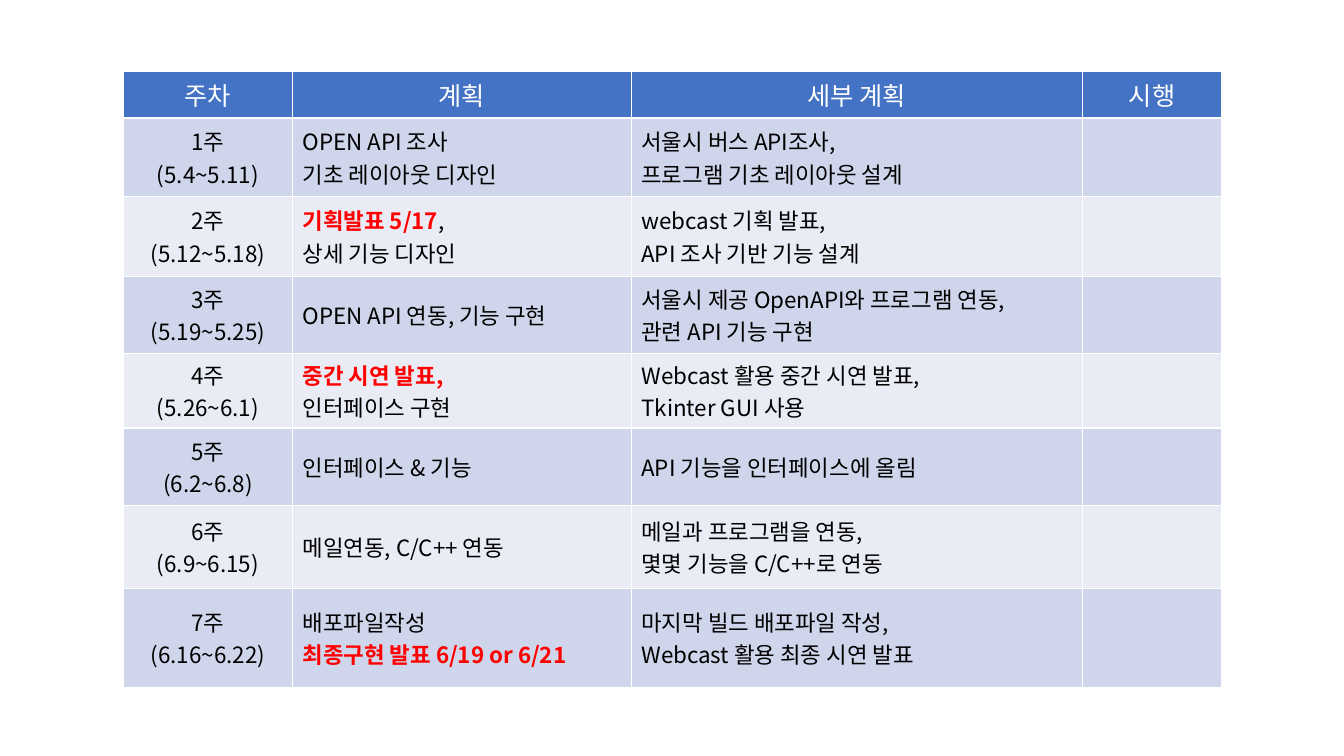
from lxml import etree
from pptx import Presentation
from pptx.dml.color import RGBColor
from pptx.enum import text
from pptx.oxml import ns
from pptx.util import Pt

COLORS = {"head": "4472C4", "odd": "CFD5EA", "even": "E9EBF5",
          "white": "FFFFFF", "black": "000000", "key": "FF0000"}

WIDTHS = [121, 242, 322, 100]
HEIGHTS = [32, 56, 57, 55, 53.5, 55.5, 59, 71]
HEADS = ["주차", "계획", "세부 계획", "시행"]

# Dates, plan and details of each week; *stars* mark key events.
WEEKS = [
    ("5.4~5.11", "OPEN API 조사\n기초 레이아웃 디자인",
     "서울시 버스 API조사,\n프로그램 기초 레이아웃 설계"),
    ("5.12~5.18", "*기획발표 5/17*,\n상세 기능 디자인",
     "webcast 기획 발표,\nAPI 조사 기반 기능 설계"),
    ("5.19~5.25", "OPEN API 연동, 기능 구현",
     "서울시 제공 OpenAPI와 프로그램 연동,\n관련 API 기능 구현"),
    ("5.26~6.1", "*중간 시연 발표,*\n인터페이스 구현",
     "Webcast 활용 중간 시연 발표,\nTkinter GUI 사용"),
    ("6.2~6.8", "인터페이스 & 기능", "API 기능을 인터페이스에 올림"),
    ("6.9~6.15", "메일연동, C/C++ 연동",
     "메일과 프로그램을 연동,\n몇몇 기능을 C/C++로 연동"),
    ("6.16~6.22", "배포파일작성\n*최종구현 발표 6/19 or 6/21*",
     "마지막 빌드 배포파일 작성,\nWebcast 활용 최종 시연 발표"),
]


def color(name):
    """Look up a colour by name."""
    return RGBColor.from_string(COLORS[name])


class Deck:
    """Holds the style and the current slide."""

    font = "Noto Sans CJK KR"

    def __init__(self, wide, high):
        """Start a deck with one blank slide."""
        self.prs = Presentation()
        self.prs.slide_width, self.prs.slide_height = Pt(wide), Pt(high)
        self.slide = self.prs.slides.add_slide(self.prs.slide_layouts[6])

    def table(self, left, top, widths, heights):
        """Add a plain table with the given column and row sizes."""
        grid = self.slide.shapes.add_table(
            len(heights), len(widths), Pt(left), Pt(top),
            Pt(sum(widths)), Pt(sum(heights))).table
        grid.first_row = grid.horz_banding = False
        for col, wide in zip(grid.columns, widths):
            col.width = Pt(wide)
        for row, high in zip(grid.rows, heights):
            row.height = Pt(high)
        return grid

    def border(self, cell):
        """Draw thin white lines on all sides of a cell."""
        props = cell._tc.get_or_add_tcPr()
        for side in "LRTB":
            line = etree.SubElement(props, ns.qn(f"a:ln{side}"), w=str(Pt(1)))
            fill = etree.SubElement(line, ns.qn("a:solidFill"))
            etree.SubElement(fill, ns.qn("a:srgbClr"), val=COLORS["white"])

    def cell(self, cell, words, fill, size, ink="black", center=False):
        """Style one cell and write its lines."""
        self.border(cell)
        cell.fill.solid()
        cell.fill.fore_color.rgb = color(fill)
        cell.vertical_anchor = text.MSO_ANCHOR.MIDDLE
        for i, line in enumerate(words.split("\n")):
            frame = cell.text_frame
            para = frame.add_paragraph() if i else frame.paragraphs[0]
            self.line(para, line, size, ink)
            if center:
                para.alignment = text.PP_ALIGN.CENTER

    def line(self, para, words, size, ink):
        """Write one paragraph, with starred parts in bold red."""
        para.font.size = Pt(size)
        para.font.name = self.font
        para.font.color.rgb = color(ink)
        base = para._p.pPr.find(ns.qn("a:defRPr"))
        etree.SubElement(base, ns.qn("a:ea"), typeface=self.font)
        for i, part in enumerate(words.split("*")):
            if part:
                run = para.add_run()
                run.text = part
                if i % 2:
                    run.font.bold = True
                    run.font.color.rgb = color("key")


def main():
    """Build the weekly plan."""
    deck = Deck(960, 540)
    plan = deck.table(88, 51, WIDTHS, HEIGHTS)
    for col, head in enumerate(HEADS):
        deck.cell(plan.cell(0, col), head, "head", 18, "white", True)
    for week, (dates, goal, detail) in enumerate(WEEKS, 1):
        fill = "odd" if week % 2 else "even"
        row = [f"{week}주\n({dates})", goal, detail, ""]
        for col, words in enumerate(row):
            deck.cell(plan.cell(week, col), words, fill, 16, center=col == 0)
    deck.prs.save("out.pptx")


main()
